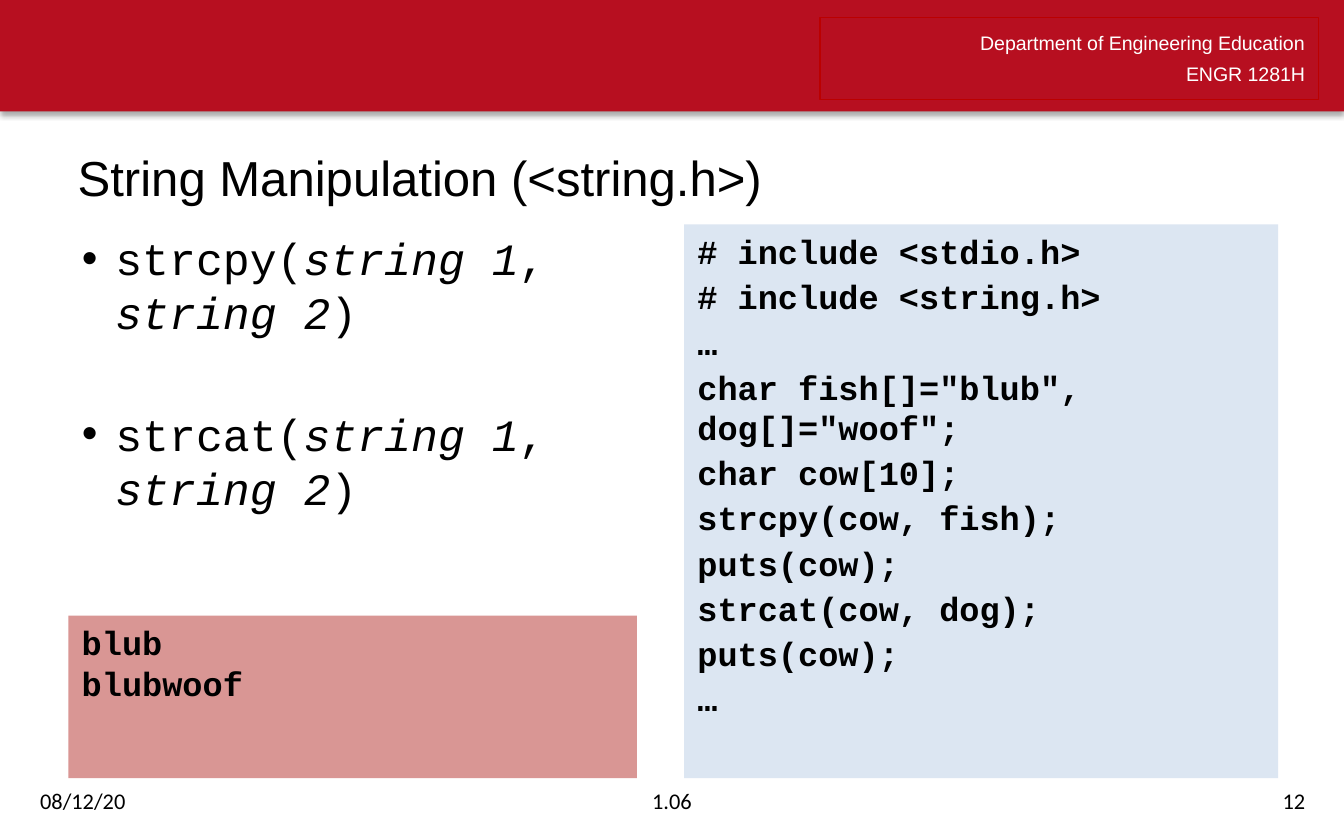
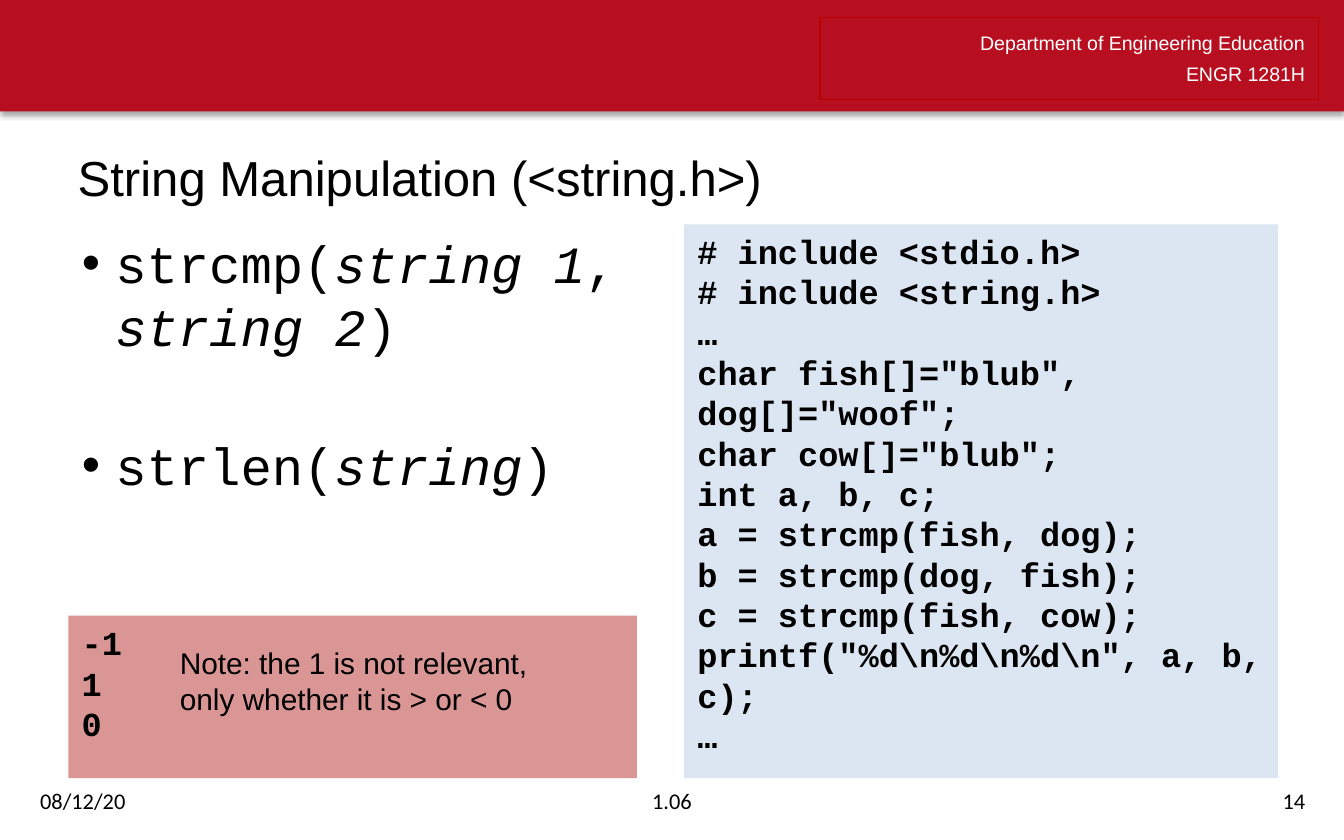
from lxml import etree
from pptx import Presentation
from pptx.dml.color import RGBColor
from pptx.enum.shapes import MSO_SHAPE
from pptx.enum.text import MSO_ANCHOR, MSO_AUTO_SIZE, PP_ALIGN
from pptx.oxml.ns import qn
from pptx.util import Inches, Pt

RECTANGLE = MSO_SHAPE.RECTANGLE
TOP, MIDDLE = MSO_ANCHOR.TOP, MSO_ANCHOR.MIDDLE
LEFT, CENTER, RIGHT = PP_ALIGN.LEFT, PP_ALIGN.CENTER, PP_ALIGN.RIGHT
NO_AUTOFIT, GROW = MSO_AUTO_SIZE.NONE, MSO_AUTO_SIZE.SHAPE_TO_FIT_TEXT

SCARLET = RGBColor(0xB7, 0x0F, 0x20)
SCARLET_EDGE = RGBColor(0xBB, 0x00, 0x00)
CODE_BLUE = RGBColor(0xDC, 0xE6, 0xF2)
OUTPUT_PINK = RGBColor(0xD9, 0x96, 0x94)
BLACK = RGBColor(0x00, 0x00, 0x00)
WHITE = RGBColor(0xFF, 0xFF, 0xFF)

# The grid has 100 columns and 62.5 rows of square cells.
SLIDE_WIDTH, SLIDE_HEIGHT = Inches(10), Inches(6.25)
CELL = SLIDE_WIDTH / 100

BAND = (0, 0, 100, 8.3)
COURSE = (61, 1.3, 37.1, 6.1)
TITLE = (4.8, 9.6, 90.7, 7.1)
FUNCTIONS = (5.1, 16.7, 44.2, 41.2)
CODE = (50.9, 16.7, 44.2, 41.2)
OUTPUT = (5.1, 45.8, 42.3, 12.1)
NOTE = (12.4, 47.5, 31.7, 6.4)
FOOTER_TOP, FOOTER_HEIGHT = 57.9, 3.3
FOOTER_SLOTS = ((2, 22.5, LEFT), (33.1, 33.8, CENTER), (75.6, 22.5, RIGHT))

MONO_LINE = 1.19  # line height of the code font, as a share of its size
BULLET_SPACE = 3.9


class Deck:
    """Holds the style and the slide being filled."""

    FONTS = {
        "course": {"name": "Arial", "size": Pt(10.5)},
        "title": {"name": "Arial", "size": Pt(26.3)},
        "code": {"name": "Courier New", "size": Pt(18), "bold": True},
        "function": {"name": "Courier New"},
        "note": {"name": "Arial", "size": Pt(16)},
        "footer": {"name": "Calibri", "size": Pt(12)},
    }

    def __init__(self):
        self.presentation = Presentation()
        self.presentation.slide_width = SLIDE_WIDTH
        self.presentation.slide_height = SLIDE_HEIGHT
        self.slide = None

    def start_slide(self, title, date, lecture, number):
        blank = self.presentation.slide_layouts[6]
        self.slide = self.presentation.slides.add_slide(blank)
        self.band()
        course = self.panel(COURSE, line=SCARLET_EDGE)
        self.fill_lines(course, ("Department of Engineering Education", "ENGR 1281H"),
                        "course", WHITE, alignment=RIGHT, line_spacing=Pt(16.4))
        self.text(TITLE, (title,), "title", anchor=MIDDLE)
        for (left, width, side), label in zip(FOOTER_SLOTS, (date, lecture, number)):
            self.text((left, FOOTER_TOP, width, FOOTER_HEIGHT), (label,),
                      "footer", anchor=MIDDLE, alignment=side)

    @staticmethod
    def place(cells):
        return [round(count * CELL) for count in cells]

    def panel(self, cells, fill=None, line=None):
        shape = self.slide.shapes.add_shape(RECTANGLE, *self.place(cells))
        shape.shadow.inherit = False
        if fill is None:
            shape.fill.background()
        else:
            shape.fill.solid()
            shape.fill.fore_color.rgb = fill
        if line is None:
            shape.line.fill.background()
        else:
            shape.line.color.rgb = line
            shape.line.width = Pt(0.75)
        return shape

    def band(self):
        """Draw the top band with a soft shadow below it."""
        effects = self.panel(BAND, SCARLET)._element.spPr.find(qn("a:effectLst"))
        shadow = etree.SubElement(
            effects, qn("a:outerShdw"), blurRad=str(Pt(3.1)), dist=str(Pt(1.8)),
            dir="5400000", algn="t", rotWithShape="0")
        colour = etree.SubElement(shadow, qn("a:srgbClr"), val=str(BLACK))
        etree.SubElement(colour, qn("a:alpha"), val="35000")

    def fill_lines(self, shape, lines, style, colour=BLACK, anchor=TOP,
                   autofit=NO_AUTOFIT, gap=0, **paragraph_format):
        """Fill a shape with one paragraph per line, gap points apart."""
        frame = self.prepare(shape, anchor, autofit)
        paragraph_format = {"alignment": LEFT, **paragraph_format}
        for index, line in enumerate(lines):
            paragraph = self.next_paragraph(frame, index)
            for attribute, value in paragraph_format.items():
                setattr(paragraph, attribute, value)
            if index and gap:
                paragraph.space_before = Pt(gap)
            self.run(paragraph, line, style, colour)

    @staticmethod
    def prepare(shape, anchor=TOP, autofit=NO_AUTOFIT):
        frame = shape.text_frame
        settings = {"word_wrap": True, "vertical_anchor": anchor, "auto_size": autofit}
        for attribute, value in settings.items():
            setattr(frame, attribute, value)
        return frame

    @staticmethod
    def next_paragraph(frame, index):
        return frame.add_paragraph() if index else frame.paragraphs[0]

    def run(self, paragraph, words, style, colour=BLACK, **extra):
        run = paragraph.add_run()
        run.text = words
        run.font.color.rgb = colour
        for attribute, value in {**self.FONTS[style], **extra}.items():
            setattr(run.font, attribute, value)

    def text(self, cells, lines, style, **options):
        box = self.slide.shapes.add_textbox(*self.place(cells))
        self.fill_lines(box, lines, style, **options)

    def code(self, lines, gap):
        self.fill_lines(self.panel(CODE, CODE_BLUE), lines, "code", gap=gap)

    def output(self, lines):
        self.fill_lines(self.panel(OUTPUT, OUTPUT_PINK), lines, "code")

    def functions(self, signatures, size):
        """List functions as bullets, one line apart, with italic arguments."""
        box = self.slide.shapes.add_textbox(*self.place(FUNCTIONS))
        frame = self.prepare(box)
        for index, (name, *arguments) in enumerate(signatures):
            paragraph = self.next_paragraph(frame, index)
            self.bullet(paragraph)
            if index:
                paragraph.space_before = Pt(size * MONO_LINE + 2 * BULLET_SPACE)
            lead = f"{name}("
            for argument in arguments:
                self.run(paragraph, lead, "function", size=Pt(size))
                self.run(paragraph, argument, "function", size=Pt(size), italic=True)
                lead = ", "
            self.run(paragraph, ")", "function", size=Pt(size))

    @staticmethod
    def bullet(paragraph):
        properties = paragraph._p.get_or_add_pPr()
        properties.set("marL", str(Inches(0.25)))
        properties.set("indent", str(-Inches(0.25)))
        etree.SubElement(properties, qn("a:buFont"), typeface="Arial")
        etree.SubElement(properties, qn("a:buChar"), char="•")


TOPIC = "String Manipulation (<string.h>)"
DATE, LECTURE = "08/12/20", "1.06"
PROGRAM_START = ("# include <stdio.h>", "# include <string.h>", "…",
                 'char fish[]="blub", dog[]="woof";')


def copy_and_join(deck):
    deck.start_slide(TOPIC, DATE, LECTURE, "12")
    deck.code((*PROGRAM_START, "char cow[10];", "strcpy(cow, fish);", "puts(cow);",
               "strcat(cow, dog);", "puts(cow);", "…"), gap=2.6)
    deck.functions((("strcpy", "string 1", "string 2"),
                    ("strcat", "string 1", "string 2")), size=24)
    deck.output(("blub", "blubwoof"))


def compare_and_measure(deck):
    deck.start_slide(TOPIC, DATE, LECTURE, "14")
    deck.code((*PROGRAM_START, 'char cow[]="blub";', "int a, b, c;",
               "a = strcmp(fish, dog);", "b = strcmp(dog, fish);",
               "c = strcmp(fish, cow);", r'printf("%d\n%d\n%d\n", a, b, c);', "…"),
              gap=0)
    deck.functions((("strcmp", "string 1", "string 2"), ("strlen", "string")), size=28)
    deck.output(("-1", "1", "0"))
    deck.text(NOTE, ("Note: the 1 is not relevant, only whether it is > or < 0",),
              "note", autofit=GROW)


def main():
    deck = Deck()
    copy_and_join(deck)
    compare_and_measure(deck)
    deck.presentation.save("out.pptx")


if __name__ == "__main__":
    main()
